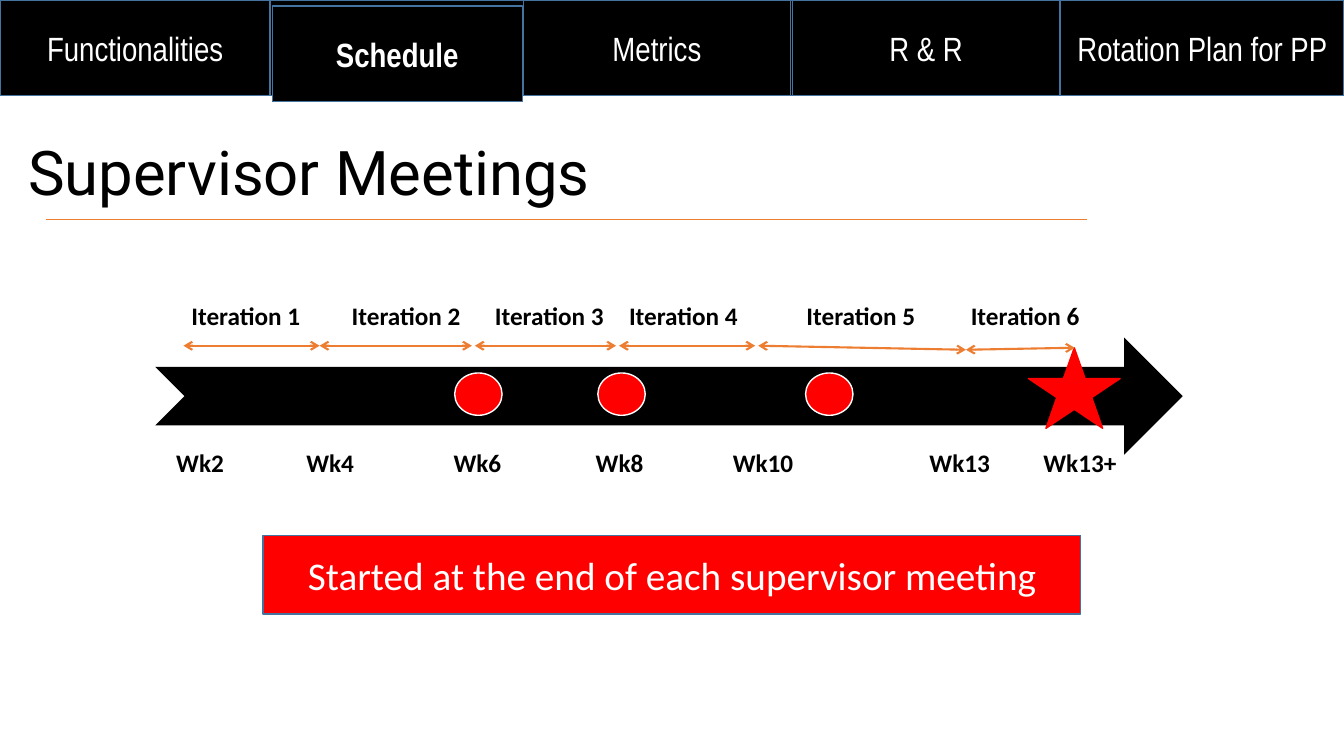
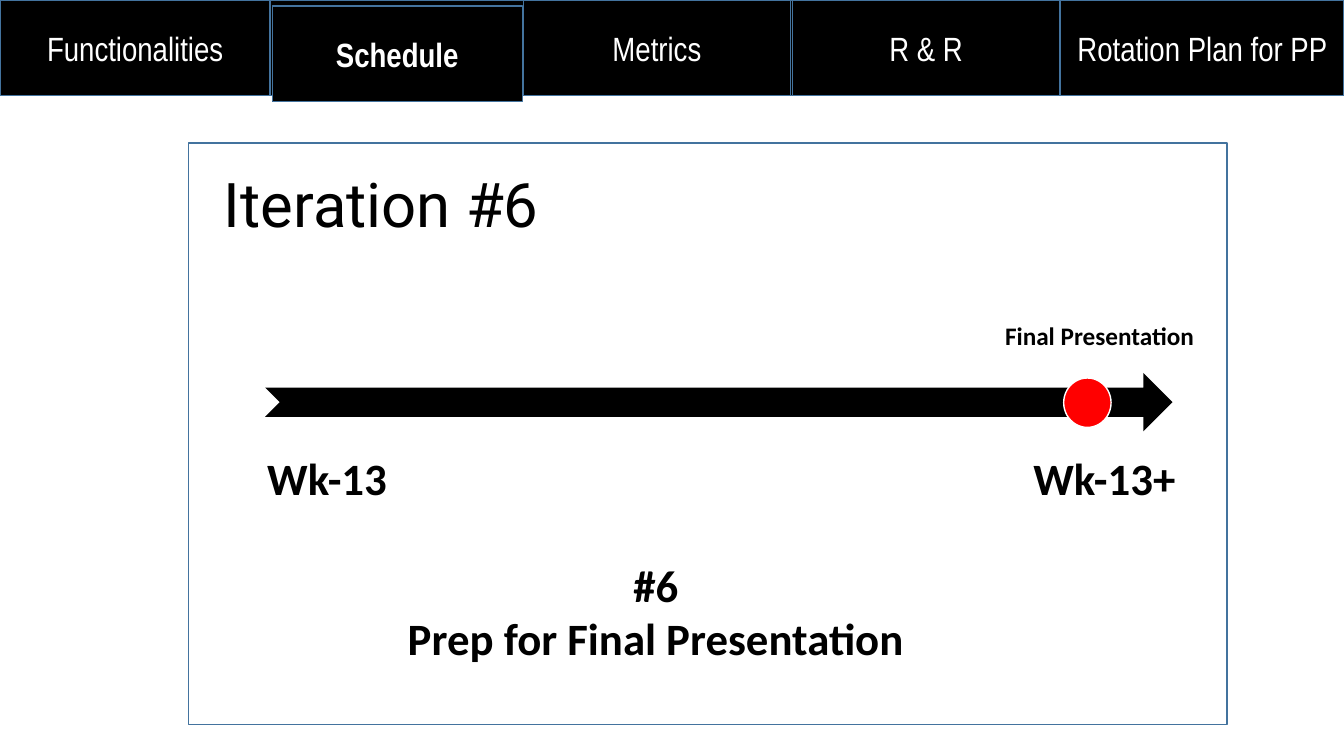
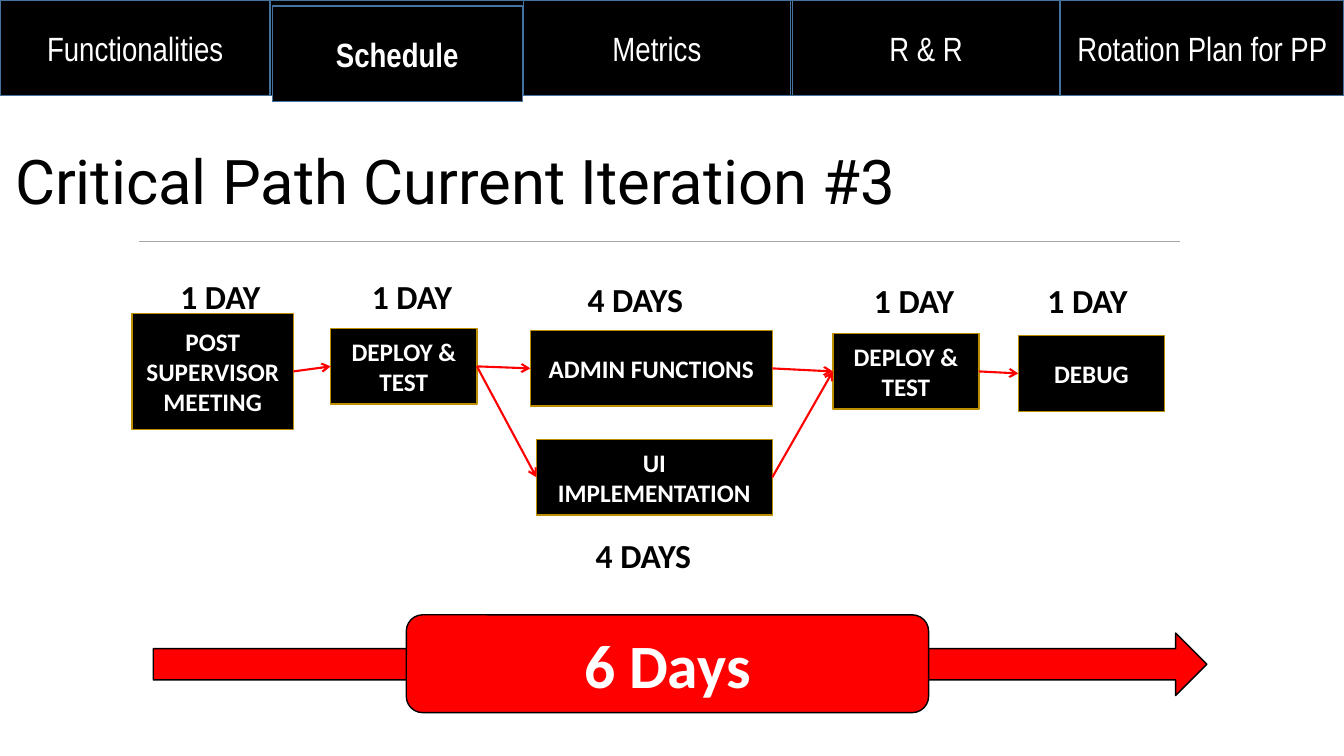
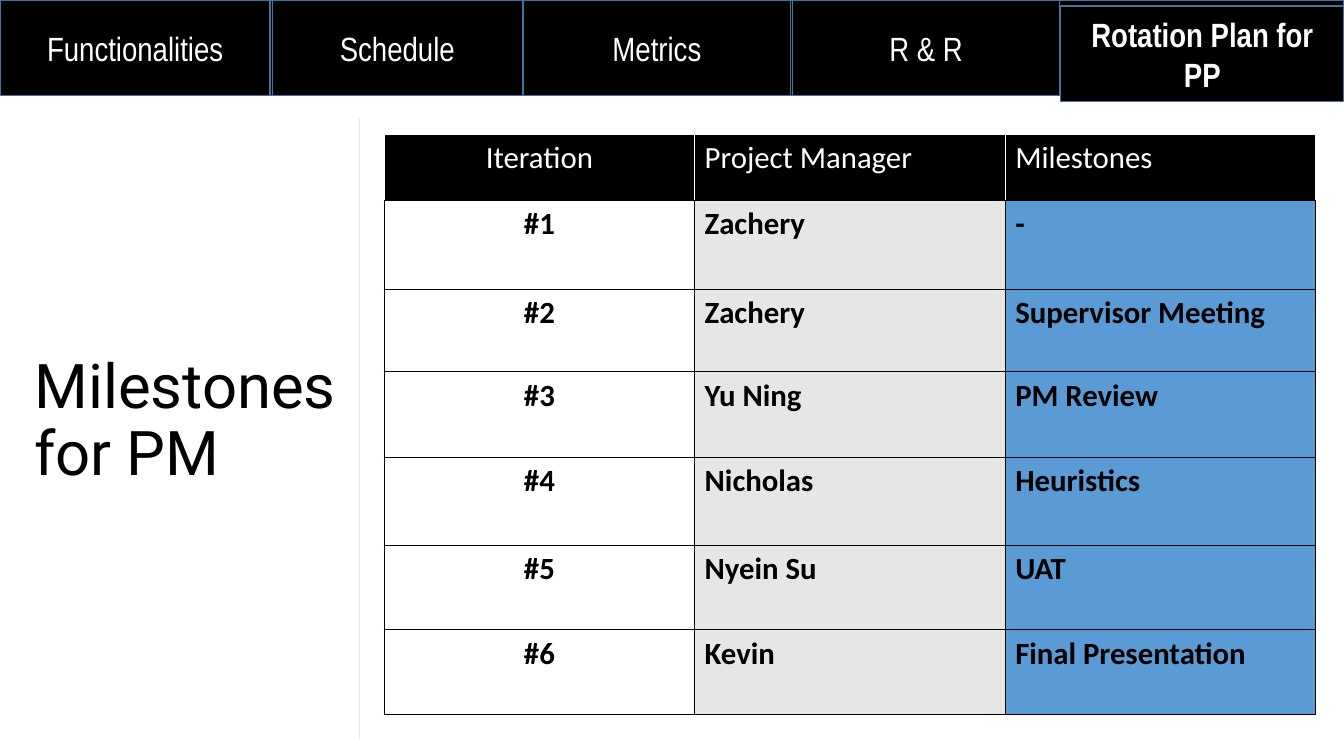
import lxml.etree
import pptx
import pptx.dml.color
import pptx.enum.shapes
import pptx.enum.text
import pptx.oxml.ns
import pptx.util

Inches = pptx.util.Inches
RGBColor = pptx.dml.color.RGBColor
Shape = pptx.enum.shapes.MSO_SHAPE
Align = pptx.enum.text.PP_ALIGN
Anchor = pptx.enum.text.MSO_ANCHOR
AutoSize = pptx.enum.text.MSO_AUTO_SIZE
qn = pptx.oxml.ns.qn

BLACK = RGBColor(0x00, 0x00, 0x00)
WHITE = RGBColor(0xFF, 0xFF, 0xFF)
RED = RGBColor(0xFF, 0x00, 0x00)
NAVY = RGBColor(0x43, 0x73, 0x9E)
ORANGE = RGBColor(0xED, 0x7D, 0x31)
GOLD = RGBColor(0xBD, 0x8E, 0x00)
GREY = RGBColor(0xA5, 0xA5, 0xA5)
PALE_GREY = RGBColor(0xE7, 0xE6, 0xE6)
BLUE = RGBColor(0x5B, 0x9B, 0xD5)

BODY_FONT = "Calibri"
TITLE_FONT = "Roboto"
TAB_FONT = "Arial Narrow"
TITLE_HEIGHT = 1.45
TAB_HEIGHT = 0.95
ACTIVE_TAB_DROP = 0.06
TABS = [
    ("Functionalities", 0, 2.68),
    ("Schedule", 2.7, 2.48),
    ("Metrics", 5.19, 2.65),
    ("R & R", 7.86, 2.65),
    ("Rotation Plan for PP", 10.52, 2.81),
]


class Deck:
    """Holds the shared style and the slide being built."""

    def __init__(self):
        self.presentation = pptx.Presentation()
        self.presentation.slide_width = Inches(13.33)
        self.presentation.slide_height = Inches(7.5)
        self.slide = None

    def start_slide(self, active_tab):
        self.slide = self.presentation.slides.add_slide(self.presentation.slide_layouts[5])
        self.shape(Shape.RECTANGLE, 0, 0, 13.33, TAB_HEIGHT, BLACK, NAVY)
        for label, left, width in TABS:
            active = label == active_tab
            tab = self.shape(Shape.RECTANGLE, left, ACTIVE_TAB_DROP if active else 0,
                             width, TAB_HEIGHT, BLACK, NAVY)
            self.set_text(tab.text_frame, label, 24, WHITE, active, Align.CENTER, TAB_FONT)

    def set_text(self, text_frame, text, size, color=BLACK, bold=True, align=Align.LEFT,
                 font=BODY_FONT):
        text_frame.text = text
        for paragraph in text_frame.paragraphs:
            paragraph.alignment = align
            for run in paragraph.runs:
                run.font.name = font
                run.font.size = pptx.util.Pt(size)
                run.font.bold = bold
                run.font.color.rgb = color

    def title(self, text, left, top, width):
        """Fills the title placeholder and brings it in front of what is drawn so far."""
        title = self.slide.shapes.title
        title.left, title.top = Inches(left), Inches(top)
        title.width, title.height = Inches(width), Inches(TITLE_HEIGHT)
        title.element.getparent().append(title.element)
        text_frame = title.text_frame
        self.set_text(text_frame, text, 44, bold=False, font=TITLE_FONT)
        text_frame.word_wrap = True
        text_frame.auto_size = AutoSize.NONE
        text_frame.vertical_anchor = Anchor.MIDDLE
        text_frame.paragraphs[0].line_spacing = 0.9

    def shape(self, kind, left, top, width, height, fill, line=None):
        shape = self.slide.shapes.add_shape(
            kind, Inches(left), Inches(top), Inches(width), Inches(height))
        shape.shadow.inherit = False
        shape.fill.solid()
        shape.fill.fore_color.rgb = fill
        if line is None:
            shape.line.fill.background()
        else:
            shape.line.color.rgb = line
            shape.line.width = pptx.util.Pt(1)
        shape.text_frame.vertical_anchor = Anchor.MIDDLE
        return shape

    def box(self, text, left, top, width, height, fill, line, size, bold=True,
            kind=Shape.RECTANGLE):
        box = self.shape(kind, left, top, width, height, fill, line)
        self.set_text(box.text_frame, text, size, WHITE, bold, Align.CENTER)
        return box

    def label(self, text, left, top, width, height, size, align=Align.LEFT, wrap=True):
        label = self.slide.shapes.add_textbox(
            Inches(left), Inches(top), Inches(width), Inches(height))
        label.text_frame.word_wrap = wrap
        label.text_frame.auto_size = AutoSize.SHAPE_TO_FIT_TEXT
        self.set_text(label.text_frame, text, size, align=align)

    def line(self, start, end, color, weight, arrow_ends=()):
        connector = self.slide.shapes.add_connector(
            pptx.enum.shapes.MSO_CONNECTOR.STRAIGHT,
            Inches(start[0]), Inches(start[1]), Inches(end[0]), Inches(end[1]))
        connector.line.color.rgb = color
        connector.line.width = pptx.util.Pt(weight)
        properties = connector.element.spPr
        for arrow_end in arrow_ends:
            lxml.etree.SubElement(properties.find(qn("a:ln")), qn(arrow_end), type="arrow")
        lxml.etree.SubElement(properties, qn("a:effectLst"))
        return connector

    def join(self, source, target):
        """Draws a red arrow from the right side of one box to the left side of another."""
        connector = self.line((0, 0), (1, 1), RED, 1.5, ["a:tailEnd"])
        connector.begin_connect(source, 3)
        connector.end_connect(target, 1)

    def table(self, left, top, column_width, row_heights, column_count):
        frame = self.slide.shapes.add_table(
            len(row_heights), column_count, Inches(left), Inches(top),
            Inches(column_width * column_count), Inches(sum(row_heights)))
        table = frame.table
        table.first_row = table.horz_banding = False
        for column in table.columns:
            column.width = Inches(column_width)
        for row, height in zip(table.rows, row_heights):
            row.height = Inches(height)
        return table

    def cell(self, cell, text, size, color=BLACK, bold=True, align=Align.LEFT,
             fill=None, borders=None):
        """Fills a cell; borders maps the sides L, R, T and B to colours."""
        self.set_text(cell.text_frame, text, size, color, bold, align)
        for side, border_color in (borders or {}).items():
            border = lxml.etree.SubElement(
                cell._tc.get_or_add_tcPr(), qn("a:ln" + side), w=str(pptx.util.Pt(1)))
            solid = lxml.etree.SubElement(border, qn("a:solidFill"))
            lxml.etree.SubElement(solid, qn("a:srgbClr"), val=str(border_color))
        if fill is None:
            cell.fill.background()
        else:
            cell.fill.solid()
            cell.fill.fore_color.rgb = fill


def build_supervisor_meetings(deck):
    deck.start_slide("Schedule")
    deck.title("Supervisor Meetings", 0.18, 1.02, 8.62)
    deck.line((0.46, 2.18), (10.78, 2.18), ORANGE, 0.5)
    deck.shape(Shape.NOTCHED_RIGHT_ARROW, 1.54, 3.35, 10.19, 1.16, BLACK)
    deck.shape(Shape.STAR_5_POINT, 10.2, 3.45, 0.91, 0.8, RED, RED)
    for left in (4.51, 5.93, 7.99):
        deck.shape(Shape.OVAL, left, 3.7, 0.47, 0.42, RED, WHITE)

    weeks = [("Wk2", 1.65, 0.7), ("Wk4", 2.94, 0.7), ("Wk6", 4.4, 0.7), ("Wk8", 5.81, 0.7),
             ("Wk10", 7.17, 0.9), ("Wk13", 9.12, 0.97), ("Wk13+", 10.25, 0.97)]
    for week, left, width in weeks:
        deck.label(week, left, 4.39, width, 0.4, 18)

    iterations = [
        (1.8, (1.82, 3.43), (3.17, 3.43)),
        (3.39, (3.17, 3.43), (4.68, 3.43)),
        (4.81, (4.71, 3.43), (6.11, 3.43)),
        (6.14, (6.14, 3.43), (7.49, 3.43)),
        (7.9, (7.52, 3.43), (9.58, 3.47)),
        (9.53, (9.58, 3.47), (10.66, 3.45)),
    ]
    for number, (left, start, end) in enumerate(iterations, 1):
        deck.label(f"Iteration {number}", left, 2.93, 1.29, 0.4, 18, wrap=False)
        deck.line(start, end, ORANGE, 1.5, ["a:headEnd", "a:tailEnd"])

    deck.box("Started at the end of each supervisor meeting",
             2.61, 5.31, 8.11, 0.78, RED, NAVY, 28, bold=False)


def build_iteration_six(deck):
    deck.start_slide("Schedule")
    deck.shape(Shape.RECTANGLE, 1.87, 1.42, 10.3, 5.77, WHITE, NAVY)
    deck.title("Iteration #6", 2.12, 1.33, 8.62)
    deck.shape(Shape.NOTCHED_RIGHT_ARROW, 2.63, 3.7, 9, 0.58, BLACK)
    deck.shape(Shape.OVAL, 10.55, 3.75, 0.47, 0.49, RED, WHITE)
    table = deck.table(2.55, 4.44, 3.07, [0.63], 3)
    week_cells = [("Wk-13", Align.LEFT), ("", Align.LEFT), ("Wk-13+", Align.RIGHT)]
    for column, (text, align) in enumerate(week_cells):
        deck.cell(table.cell(0, column), text, 32, align=align)
    deck.label("Final Presentation", 9.87, 3.13, 2.09, 0.4, 18, wrap=False)
    deck.label("#6\nPrep for Final Presentation", 3.92, 5.48, 5.17, 1.58, 32,
               Align.CENTER, wrap=False)


def build_critical_path(deck):
    deck.start_slide("Schedule")
    deck.title("Critical Path Current Iteration #3", 0.05, 1.11, 9.63)
    deck.line((1.38, 2.39), (11.7, 2.39), GREY, 0.5)

    durations = [("1 DAY", 1.69, 2.69), ("1 DAY", 3.59, 2.69), ("4 DAYS", 5.73, 2.72),
                 ("4 DAYS", 5.81, 5.26), ("1 DAY", 8.57, 2.73), ("1 DAY", 10.29, 2.73)]
    for duration, left, top in durations:
        deck.label(duration, left, top, 1.16, 0.5, 24)

    tasks = [
        ("POST SUPERVISOR MEETING", 1.31, 3.11, 1.6, 1.15),
        ("DEPLOY & TEST", 3.28, 3.26, 1.45, 0.75),
        ("ADMIN FUNCTIONS", 5.26, 3.28, 2.4, 0.75),
        ("UI IMPLEMENTATION", 5.32, 4.36, 2.34, 0.75),
        ("DEPLOY & TEST", 8.26, 3.31, 1.45, 0.75),
        ("DEBUG", 10.1, 3.33, 1.45, 0.75),
    ]
    meeting, first_deploy, admin, interface, last_deploy, debug = [
        deck.box(*task, BLACK, GOLD, 18) for task in tasks]
    for source, target in [(meeting, first_deploy), (first_deploy, admin),
                           (first_deploy, interface), (admin, last_deploy),
                           (interface, last_deploy), (last_deploy, debug)]:
        deck.join(source, target)

    deck.shape(Shape.RIGHT_ARROW, 1.52, 6.28, 10.45, 0.62, RED, BLACK)
    deck.box("6 Days", 4.03, 6.1, 5.18, 0.97, RED, BLACK, 44, kind=Shape.ROUNDED_RECTANGLE)


def build_milestones(deck):
    deck.start_slide("Rotation Plan for PP")
    deck.title("Milestones\vfor PM", 0.24, 3.46, 4.47)
    deck.line((3.56, 1.17), (3.56, 7.33), PALE_GREY, 0.5)
    rows = [
        ("Iteration", "Project Manager", "Milestones"),
        ("#1", "Zachery", "-"),
        ("#2", "Zachery", "Supervisor Meeting"),
        ("#3", "Yu Ning", "PM Review"),
        ("#4", "Nicholas", "Heuristics"),
        ("#5", "Nyein Su", "UAT"),
        ("#6", "Kevin", "Final Presentation"),
    ]
    column_styles = [(Align.CENTER, WHITE), (Align.LEFT, PALE_GREY), (Align.LEFT, BLUE)]
    header_borders = {"L": WHITE, "R": WHITE, "T": WHITE, "B": BLACK}
    body_borders = dict.fromkeys("LRTB", BLACK)
    table = deck.table(3.81, 1.33, 3.08, [0.66, 0.88, 0.82, 0.85, 0.87, 0.84, 0.84], 3)
    for row, texts in enumerate(rows):
        header = row == 0
        for column, (text, (align, fill)) in enumerate(zip(texts, column_styles)):
            if header and column > 0:
                align = Align.LEFT
            deck.cell(table.cell(row, column), text, 22, WHITE if header else BLACK,
                      not header, align, BLACK if header else fill,
                      header_borders if header else body_borders)


def main():
    deck = Deck()
    build_supervisor_meetings(deck)
    build_iteration_six(deck)
    build_critical_path(deck)
    build_milestones(deck)
    deck.presentation.save("out.pptx")


if __name__ == "__main__":
    main()
